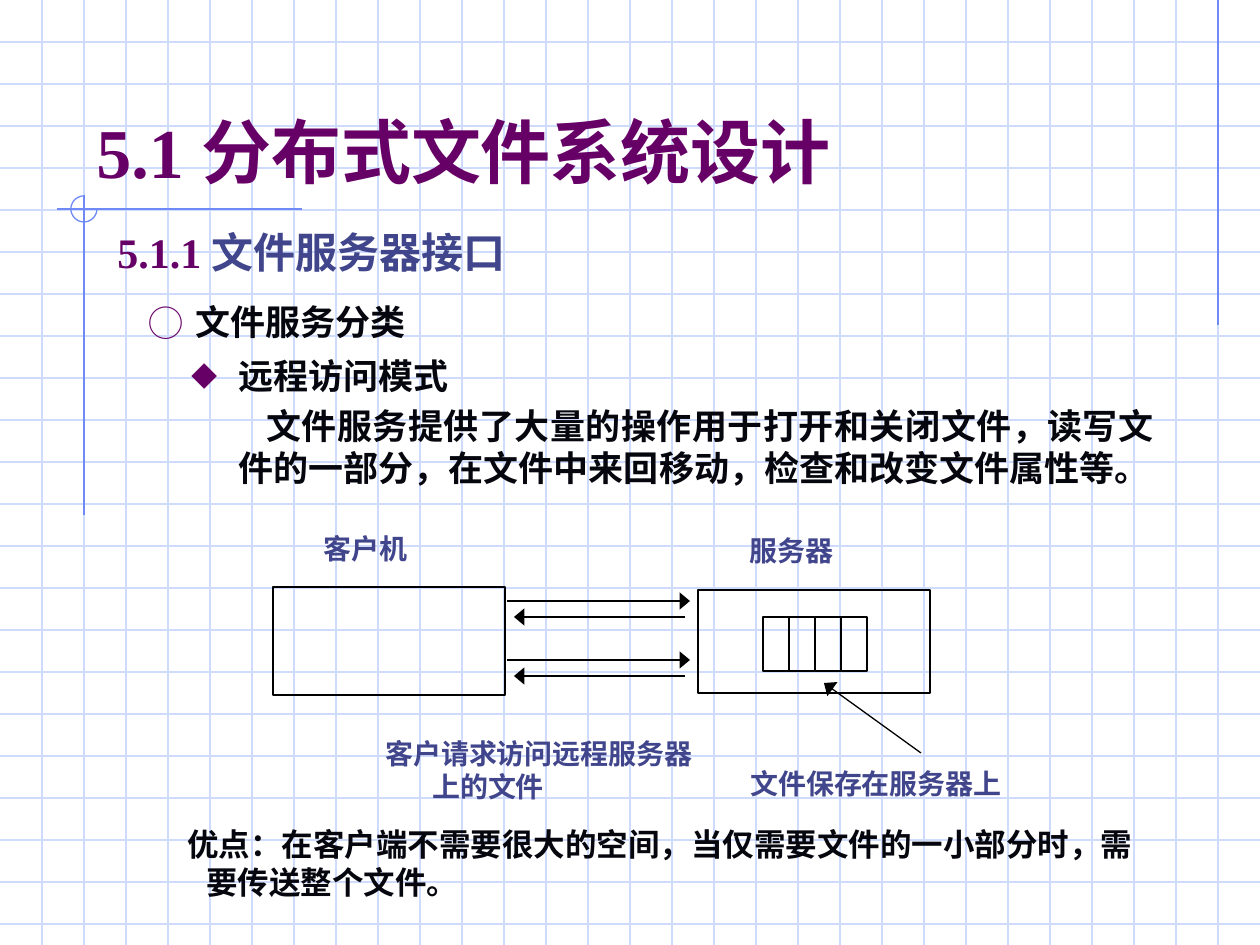
import math

from lxml import etree
from pptx import Presentation
from pptx.dml.color import RGBColor
from pptx.enum.shapes import MSO_CONNECTOR, MSO_SHAPE
from pptx.enum.text import MSO_ANCHOR, PP_ALIGN
from pptx.oxml.ns import qn
from pptx.util import Emu, Pt

STRAIGHT = MSO_CONNECTOR.STRAIGHT
RECTANGLE = MSO_SHAPE.RECTANGLE
TOP, BOTTOM = MSO_ANCHOR.TOP, MSO_ANCHOR.BOTTOM
LEFT, JUSTIFY = PP_ALIGN.LEFT, PP_ALIGN.JUSTIFY

WIDTH, HEIGHT = 1260, 945
EMU_PER_PX = 914400 / 126
GRID = 42
HANG = 47
SERIF, HEADING, BODY = "Times New Roman", "Noto Sans CJK SC", "Montserrat"
PURPLE, INDIGO, INK, BLACK = "660066", "40458C", "06070E", "000000"
GRID_BLUE, ACCENT_BLUE = "CFDBFD", "6F89F7"


def px(value):
    return Emu(round(value * EMU_PER_PX))


def color(hex_value):
    return RGBColor.from_string(hex_value)


class SlideBuilder:
    """Holds the line style and the current slide."""

    line_width = Pt(0.75)

    def __init__(self, slide):
        self.slide = slide
        self.shapes = slide.shapes

    def outline(self, shape, hex_value):
        shape.line.color.rgb = color(hex_value)
        shape.line.width = self.line_width

    def line(self, start, end, hex_value=BLACK, arrow=False):
        connector = self.shapes.add_connector(
            STRAIGHT, px(start[0]), px(start[1]), px(end[0]), px(end[1]))
        self.outline(connector, hex_value)
        if arrow:
            line_xml = connector.line._get_or_add_ln()
            etree.SubElement(line_xml, qn("a:tailEnd"), type="triangle",
                             w="lg", len="med")
        etree.SubElement(connector._element.spPr, qn("a:effectLst"))

    def rectangle(self, left, top, width, height):
        box = self.shapes.add_shape(
            RECTANGLE, px(left), px(top), px(width), px(height))
        box.shadow.inherit = False
        box.fill.background()
        self.outline(box, BLACK)

    def open_curve(self, points, hex_value):
        corners = [(px(x), px(y)) for x, y in points]
        builder = self.shapes.build_freeform(*corners[0])
        builder.add_line_segments(corners[1:], close=False)
        curve = builder.convert_to_shape()
        curve.shadow.inherit = False
        curve.fill.background()
        self.outline(curve, hex_value)

    def text_box(self, left, top, width, height, anchor=TOP):
        box = self.shapes.add_textbox(px(left), px(top), px(width), px(height))
        frame = box.text_frame
        frame.word_wrap = True
        frame.vertical_anchor = anchor
        return frame

    def paragraph(self, frame, spans, size, align=LEFT, margin=HANG,
                  indent=-HANG, bullet=None, bullet_percent=100):
        """Fill the first paragraph, or add one with space before it.

        spans holds (text, font name, colour) for each run."""
        para = frame.paragraphs[0]
        if para.runs:
            para = frame.add_paragraph()
            para.space_before = Pt(5)
        para.alignment = align
        properties = para._p.get_or_add_pPr()
        properties.set("marL", str(px(margin)))
        properties.set("indent", str(px(indent)))
        if bullet:
            bullet_color = etree.SubElement(properties, qn("a:buClr"))
            etree.SubElement(bullet_color, qn("a:srgbClr"), val=PURPLE)
            etree.SubElement(properties, qn("a:buSzPct"),
                             val=str(bullet_percent * 1000))
            etree.SubElement(properties, qn("a:buFont"), typeface=HEADING)
            etree.SubElement(properties, qn("a:buChar"), char=bullet)
        for text, font_name, hex_value in spans:
            span = para.add_run()
            span.text = text
            span.font.name = font_name
            span.font.size = Pt(size)
            span.font.bold = True
            span.font.color.rgb = color(hex_value)
            etree.SubElement(span.font._element, qn("a:ea"), typeface=font_name)


def draw_background(builder):
    for y in range(GRID, HEIGHT, GRID):
        builder.line((0, y), (WIDTH, y), GRID_BLUE)
    for x in range(GRID, WIDTH - GRID + 1, GRID):
        builder.line((x, 0), (x, HEIGHT), GRID_BLUE)
    # Accent lines and the three-quarter ring where they cross
    builder.line((1218, 0), (1218, 325), ACCENT_BLUE)
    builder.line((302, 209), (57, 209), ACCENT_BLUE)
    builder.line((84, 195), (84, 515), ACCENT_BLUE)
    angles = [math.radians(degrees) for degrees in range(90, 361, 10)]
    ring = [(84 + 13 * math.cos(a), 209 - 13 * math.sin(a)) for a in angles]
    builder.open_curve(ring, ACCENT_BLUE)


def draw_text(builder):
    # Title and section heading
    title = builder.text_box(84, 42, 1071, 157, BOTTOM)
    builder.paragraph(title, [("5.1 ", SERIF, PURPLE),
                              ("分布式文件系统设计", HEADING, PURPLE)],
                      40, margin=0, indent=0)
    section = builder.text_box(105, 220, 1102, 271)
    builder.paragraph(section, [("5.1.1 ", SERIF, PURPLE),
                                ("文件服务器接口", HEADING, INDIGO)],
                      24, JUSTIFY)
    # Bulleted body
    topic = builder.text_box(136, 294, 1040, 55)
    builder.paragraph(topic, [("文件服务分类", BODY, INK)], 20, JUSTIFY,
                      bullet="◯")
    mode = builder.text_box(179, 348, 987, 199)
    builder.paragraph(mode, [("远程访问模式", BODY, INK)], 20, JUSTIFY,
                      bullet="◆", bullet_percent=75)
    builder.paragraph(
        mode, [("文件服务提供了大量的操作用于打开和关闭文件，读写文件的一部分，"
                "在文件中来回移动，检查和改变文件属性等。", BODY, INK)],
        20, JUSTIFY, indent=28)
    # Advantage
    advantage = builder.text_box(147, 819, 1008, 88)
    builder.paragraph(
        advantage, [("优点：在客户端不需要很大的空间，当仅需要文件的一小部分时，"
                     "需要传送整个文件。", BODY, INK)],
        18, indent=-19)


def draw_diagram(builder):
    # Client, server and the files stored on the server
    builder.rectangle(273, 587, 232, 108)
    builder.rectangle(698, 590, 232, 103)
    for column in range(4):
        builder.rectangle(763 + 26 * column, 617, 26, 54)
    # Requests and replies
    for y in (601, 660):
        builder.line((507, y), (690, y), arrow=True)
        builder.line((685, y + 16), (514, y + 16), arrow=True)
    builder.line((921, 753), (824, 683), arrow=True)
    # Labels
    labels = [
        ("客户机", 311, 525, 168, 46),
        ("服务器", 737, 527, 168, 46),
        ("客户请求访问远程服务器上的文件", 373, 730, 353, 81),
        ("文件保存在服务器上", 738, 760, 353, 46),
    ]
    for text, *place in labels:
        builder.paragraph(builder.text_box(*place), [(text, BODY, INDIGO)], 16)


def main():
    deck = Presentation()
    deck.slide_width, deck.slide_height = px(WIDTH), px(HEIGHT)
    builder = SlideBuilder(deck.slides.add_slide(deck.slide_layouts[6]))
    draw_background(builder)
    draw_text(builder)
    draw_diagram(builder)
    deck.save("out.pptx")


if __name__ == "__main__":
    main()
